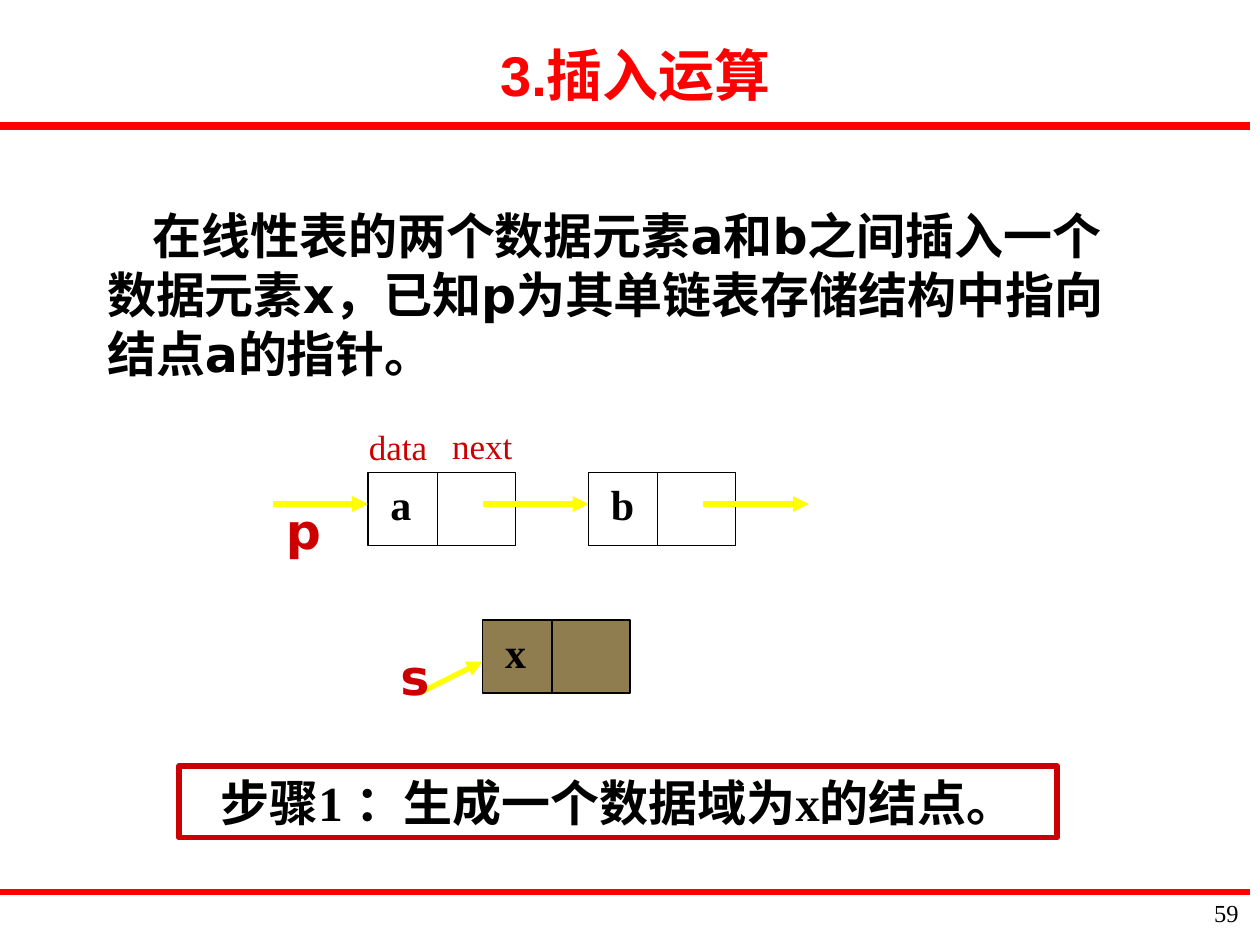
"""Build the slide on inserting a node into a singly linked list."""
from lxml.etree import SubElement
from pptx import Presentation
from pptx.dml.color import RGBColor
from pptx.enum.shapes import MSO_CONNECTOR, MSO_SHAPE
from pptx.enum.text import MSO_ANCHOR, MSO_AUTO_SIZE, PP_ALIGN
from pptx.oxml.ns import qn
from pptx.util import Inches, Pt

SERIF, SANS, HEADING = "Times New Roman", "DejaVu Sans", "Arial"
BLACK, WHITE, RED, DARK_RED = "000000", "FFFFFF", "FF0000", "CC0000"
YELLOW, OLIVE = "FFFF00", "8F7D4F"
NODE_WIDTH, NODE_HEIGHT, DATA_WIDTH = 1.17, 0.58, 0.55


def color(value):
    return RGBColor.from_string(value)


class ListSlide:
    """Hold the slide and draw each kind of element in its style."""

    def __init__(self, slide):
        self.slide = slide
        self.shapes = slide.shapes

    def set_text(self, shape, text, size, font_name, ink, bold=True, align=PP_ALIGN.LEFT):
        frame = shape.text_frame
        frame.word_wrap = True
        frame.auto_size = MSO_AUTO_SIZE.NONE
        frame.vertical_anchor = MSO_ANCHOR.TOP
        paragraph = frame.paragraphs[0]
        paragraph.text = text
        paragraph.alignment = align
        paragraph.space_before = Pt(0)
        font = paragraph.font
        font.size, font.name, font.bold = Pt(size), font_name, bold
        font.color.rgb = color(ink)

    def placeholder(self, index, text, box, size, font_name, ink, align, indent=0):
        shape = self.slide.placeholders[index]
        shape.left, shape.top, shape.width, shape.height = map(Inches, box)
        properties = shape.text_frame.paragraphs[0]._p.get_or_add_pPr()
        properties.set("marL", "0")
        properties.set("indent", str(Inches(indent)))
        SubElement(properties, qn("a:buNone"))
        self.set_text(shape, text, size, font_name, ink, align=align)

    def label(self, text, box, size, font_name, ink, bold=True, align=PP_ALIGN.LEFT):
        shape = self.shapes.add_textbox(*map(Inches, box))
        self.set_text(shape, text, size, font_name, ink, bold, align)

    def line(self, start, end, ink, width, arrow=False):
        connector = self.shapes.add_connector(
            MSO_CONNECTOR.STRAIGHT, *map(Inches, (*start, *end)))
        connector.line.color.rgb = color(ink)
        connector.line.width = Pt(width)
        properties = connector._element.spPr
        if arrow:
            SubElement(properties.find(qn("a:ln")), qn("a:tailEnd"), type="triangle")
        SubElement(properties, qn("a:effectLst"))

    def rectangle(self, box, ink, width, fill=None):
        shape = self.shapes.add_shape(MSO_SHAPE.RECTANGLE, *map(Inches, box))
        shape.shadow.inherit = False
        if fill:
            shape.fill.solid()
            shape.fill.fore_color.rgb = color(fill)
        else:
            shape.fill.background()
        shape.line.color.rgb = color(ink)
        shape.line.width = Pt(width)
        return shape

    def node(self, text, left, top, fill):
        self.rectangle((left, top, NODE_WIDTH, NODE_HEIGHT), BLACK, 0.75, fill)
        divider = left + DATA_WIDTH
        self.line((divider, top), (divider, top + NODE_HEIGHT), BLACK, 0.75)
        self.label(text, (left + 0.08, top, 0.58, 0.5), 24, SERIF, BLACK)

    def arrow(self, start, end):
        self.line(start, end, YELLOW, 3, arrow=True)


def main():
    presentation = Presentation()
    presentation.slide_width, presentation.slide_height = Inches(10), Inches(7.5)
    slide = presentation.slides.add_slide(presentation.slide_layouts[1])
    page = ListSlide(slide)

    page.placeholder(0, "3.插入运算", (0.43, 0.27, 9.23, 0.64),
                     32, HEADING, RED, PP_ALIGN.CENTER)
    page.placeholder(
        1, "在线性表的两个数据元素a和b之间插入一个数据元素x，已知p为其单链表存储结构中指向结点a的指针。",
        (0.75, 1.58, 8.42, 1.5), 28, SANS, BLACK, PP_ALIGN.LEFT, indent=0.36)
    for top, width in ((1, 4.5), (7.08, 3)):
        page.line((0, top), (9.92, top), RED, width)
    page.label("59", (9.17, 7.08, 0.76, 0.42), 14, SERIF, "010000", False, PP_ALIGN.RIGHT)

    for text, left, top, fill in (("a", 2.92, 3.75, WHITE),
                                  ("b", 4.67, 3.75, WHITE),
                                  ("x", 3.83, 4.92, OLIVE)):
        page.node(text, left, top, fill)
    for start, end in ((2.17, 2.92), (3.83, 4.67), (5.58, 6.42)):
        page.arrow((start, 4), (end, 4))
    page.arrow((3.33, 5.5), (3.83, 5.25))
    for text, left, top in (("p", 2.17, 3.92), ("s", 3.08, 5.08)):
        page.label(text, (left, top, 0.5, 0.57), 28, SANS, DARK_RED)
    for text, left, top in (("data", 2.83, 3.33), ("next", 3.49, 3.32)):
        page.label(text, (left, top, 0.83, 0.44), 20, SERIF, DARK_RED, bold=False)

    step = page.rectangle((1.42, 6.08, 6.97, 0.57), DARK_RED, 3)
    page.set_text(step, "步骤1 ：生成一个数据域为x的结点。", 28, SERIF, BLACK, align=PP_ALIGN.CENTER)
    presentation.save("out.pptx")


if __name__ == "__main__":
    main()
